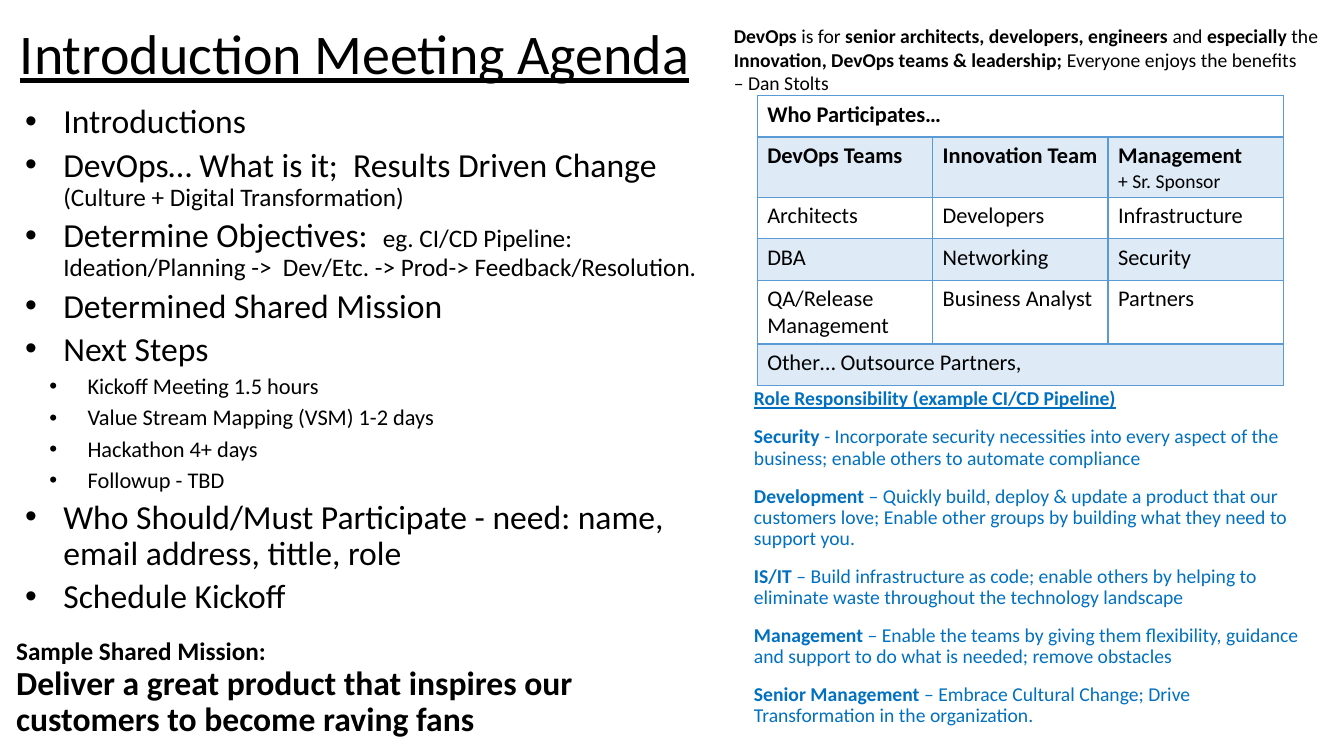
import pptx
import pptx.util
import pptx.dml.color
import pptx.enum.text
import pptx.oxml
import pptx.oxml.ns

Inches = pptx.util.Inches
Pt = pptx.util.Pt
qn = pptx.oxml.ns.qn
ANCHOR = pptx.enum.text.MSO_ANCHOR
AUTO = pptx.enum.text.MSO_AUTO_SIZE
NS = pptx.oxml.ns.nsdecls("a")

COLORS = {"text": "000000", "role": "0070C0", "grid": "5B9BD5"}

TITLE = "Introduction Meeting Agenda"
AGENDA = [
    (0, [("Introductions", 24)]),
    (0, [("DevOps… What is it;  Results Driven Change ", 24),
         ("(Culture + Digital Transformation)", 18)]),
    (0, [("Determine Objectives:  ", 24),
         ("eg. CI/CD Pipeline: Ideation/Planning ->  Dev/Etc. -> "
          "Prod-> Feedback/Resolution.", 18)]),
    (0, [("Determined Shared Mission", 24)]),
    (0, [("Next Steps", 24)]),
    (1, [("Kickoff Meeting 1.5 hours", 16)]),
    (1, [("Value Stream Mapping (VSM) 1-2 days", 16)]),
    (1, [("Hackathon 4+ days", 16)]),
    (1, [("Followup - TBD", 16)]),
    (0, [("Who Should/Must Participate - need: name, email address, "
          "tittle, role", 24)]),
    (0, [("Schedule Kickoff", 24)]),
]
ROLE_HEADING = "Role Responsibility (example CI/CD Pipeline)"
ROLES = [
    ("Security ", "- Incorporate security necessities into every aspect of "
     "the business; enable others to automate compliance"),
    ("Development", " – Quickly build, deploy & update a product that our "
     "customers love; Enable other groups by building what they need to "
     "support you."),
    ("IS/IT", " – Build infrastructure as code; enable others by helping to "
     "eliminate waste throughout the technology landscape"),
    ("Management", " – Enable the teams by giving them flexibility, guidance "
     "and support to do what is needed; remove obstacles"),
    ("Senior Management", " – Embrace Cultural Change; Drive Transformation "
     "in the organization."),
]
MISSION = ("Sample Shared Mission:\v", "Deliver a great product that inspires "
           "our customers to become raving fans")
PARTICIPANTS = [
    ["Who Participates…"],
    ["DevOps Teams", "Innovation Team", "Management\v"],
    ["Architects", "Developers", "Infrastructure"],
    ["DBA", "Networking", "Security"],
    ["QA/Release Management", "Business Analyst", "Partners"],
    ["Other… Outsource Partners,"],
]
SPONSOR = "+ Sr. Sponsor"
AUDIENCE = [
    "DevOps", " is for ", "senior architects, developers, engineers ", "and",
    " especially ", "the", " Innovation, DevOps teams & leadership; ",
    "Everyone enjoys the benefits\v– Dan Stolts",
]


def add_text(p, text, size, color="text", **fmt):
    for i, part in enumerate(text.split("\v")):
        if i:
            p.add_line_break()
        if part:
            r = p.add_run()
            r.text = part
            values = {"name": "Calibri", "size": Pt(size), **fmt}
            for name, value in values.items():
                setattr(r.font, name, value)
            r.font.color.rgb = pptx.dml.color.RGBColor.from_string(COLORS[color])


def add_box(s, box, **fmt):
    sp = s.shapes.add_textbox(*[Inches(v) for v in box])
    tf = sp.text_frame
    for name, value in {"word_wrap": True, **fmt}.items():
        setattr(tf, name, value)
    return tf


def add_para(tf, first, **fmt):
    p = tf.paragraphs[0] if first else tf.add_paragraph()
    if first:
        fmt.pop("space_before", None)
    for name, value in fmt.items():
        setattr(p, name, value)
    return p


def add_title(s, box):
    tf = add_box(s, box, vertical_anchor=ANCHOR.MIDDLE)
    p = add_para(tf, True, line_spacing=0.9)
    add_text(p, TITLE, 40, underline=True)


def add_agenda(s, box):
    tf = add_box(s, box)
    for i, (level, runs) in enumerate(AGENDA):
        p = add_para(tf, i == 0, level=level, line_spacing=0.9,
                     space_before=Pt(5))
        pPr = p._p.get_or_add_pPr()
        pPr.set("marL", str(Inches((0.38, 0.62)[level])))
        pPr.set("indent", str(Inches(-0.38)))
        pPr.append(pptx.oxml.parse_xml(f'<a:buFont {NS} typeface="Arial"/>'))
        pPr.append(pptx.oxml.parse_xml(f'<a:buChar {NS} char="•"/>'))
        for text, size in runs:
            add_text(p, text, size)


def add_roles(s, box):
    tf = add_box(s, box)
    p = add_para(tf, True, line_spacing=0.9)
    add_text(p, ROLE_HEADING, 14, "role", bold=True, underline=True)
    for role, duty in ROLES:
        p = add_para(tf, False, line_spacing=0.9, space_before=Pt(12))
        add_text(p, role, 14, "role", bold=True)
        add_text(p, duty, 14, "role", bold=False)


def add_mission(s, box):
    tf = add_box(s, box, auto_size=AUTO.SHAPE_TO_FIT_TEXT,
                 margin_left=Inches(0.2), margin_right=Inches(0.2),
                 margin_top=Inches(0.16), margin_bottom=Inches(0.16))
    p = add_para(tf, True, line_spacing=0.9, space_after=Pt(6))
    for text, size in zip(MISSION, (18, 24)):
        add_text(p, text, size, bold=True)


def add_audience(s, box):
    tf = add_box(s, box, auto_size=AUTO.SHAPE_TO_FIT_TEXT)
    p = add_para(tf, True)
    for i, text in enumerate(AUDIENCE):
        add_text(p, text, 14, bold=i % 2 == 0)


def style_cell(cell, row):
    tcPr = cell._tc.get_or_add_tcPr()
    widths = {"L": 1, "R": 1, "T": 2 if row == 1 else 1,
              "B": 2 if row == 0 else 1}
    for side, width in widths.items():
        tcPr.append(pptx.oxml.parse_xml(
            f'<a:ln{side} {NS} w="{Pt(width)}"><a:solidFill>'
            f'<a:srgbClr val="{COLORS["grid"]}"/></a:solidFill></a:ln{side}>'))
    if row % 2:
        cell.fill.solid()
        cell.fill.fore_color.rgb = pptx.dml.color.RGBColor.from_string(COLORS["grid"])
        clr = tcPr.find(qn("a:solidFill")).find(qn("a:srgbClr"))
        clr.append(pptx.oxml.parse_xml(f'<a:alpha {NS} val="20000"/>'))
    else:
        cell.fill.background()


def add_participants(s, box):
    rows, cols = len(PARTICIPANTS), 3
    tbl = s.shapes.add_table(rows, cols, *[Inches(v) for v in box]).table
    tbl.first_row = tbl.horz_banding = False
    for col in tbl.columns:
        col.width = Inches(box[2] / cols)
    for i, texts in enumerate(PARTICIPANTS):
        tbl.rows[i].height = Inches(0.41)
        for j in range(cols):
            style_cell(tbl.cell(i, j), i)
        if len(texts) == 1:
            tbl.cell(i, 0).merge(tbl.cell(i, cols - 1))
        for j, text in enumerate(texts):
            p = tbl.cell(i, j).text_frame.paragraphs[0]
            add_text(p, text, 16, bold=i < 2)
    add_text(tbl.cell(1, 2).text_frame.paragraphs[0], SPONSOR, 14, bold=False)


def main():
    prs = pptx.Presentation()
    prs.slide_width, prs.slide_height = Inches(13.33), Inches(7.5)
    s = prs.slides.add_slide(prs.slide_layouts[6])
    add_title(s, (0.1, 0.1, 11.5, 0.92))
    add_agenda(s, (0.15, 0.99, 7.02, 5.49))
    add_roles(s, (7.38, 3.81, 5.67, 3.55))
    add_mission(s, (-0.04, 6.18, 7.31, 1.32))
    add_participants(s, (7.51, 0.95, 5.22, 2.46))
    add_audience(s, (7.18, 0.19, 6.1, 0.81))
    prs.save("out.pptx")


if __name__ == "__main__":
    main()
